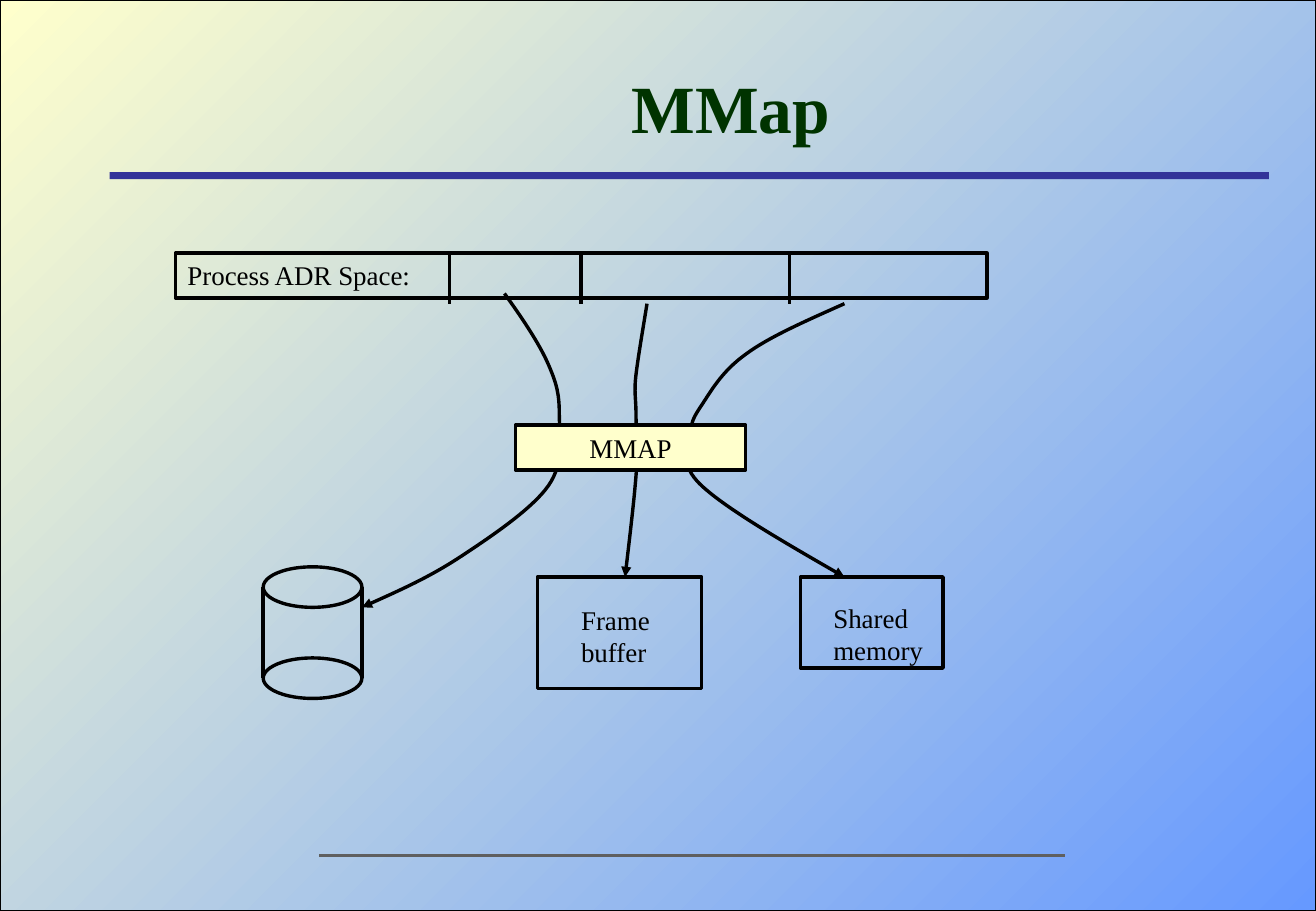
from pptx import Presentation
from pptx import util as u
from pptx.dml.color import RGBColor
from pptx.enum import shapes, text
from pptx.oxml.ns import qn
from lxml import etree

COLORS = {
    "ink": "000000", "title": "003300", "rule": "333399", "footer": "5F5F5F",
    "cream": "FFFFCC", "sky": "6699FF",
}
RECT, OVAL = shapes.MSO_SHAPE.RECTANGLE, shapes.MSO_SHAPE.OVAL
LEFT, CENTER = text.PP_ALIGN.LEFT, text.PP_ALIGN.CENTER


def rgb(name):
    return RGBColor.from_string(COLORS[name])


class Board:
    """Draws in one style on a grid of 120 columns by 90 rows."""
    font, size, stroke = "Times New Roman", 16, 2

    def __init__(self, deck):
        self.col, self.row = deck.slide_width / 120, deck.slide_height / 90
        self.slide = deck.slides.add_slide(deck.slide_layouts[5])

    def point(self, x, y):
        return round(x * self.col), round(y * self.row)

    def outline(self, item, color="ink", width=stroke):
        item.line.color.rgb = rgb(color)
        item.line.width = u.Pt(width)

    def set_text(self, shape, lines, align=LEFT, wrap=True, size=size, color="ink", bold=False,
                 anchor=text.MSO_ANCHOR.TOP):
        frame = shape.text_frame
        frame.text = "\n".join(lines)
        frame.word_wrap = wrap
        frame.auto_size = text.MSO_AUTO_SIZE.NONE
        frame.vertical_anchor = anchor
        for paragraph in frame.paragraphs:
            paragraph.alignment = align
            font = paragraph.font
            font.name, font.size, font.bold = self.font, u.Pt(size), bold
            font.color.rgb = rgb(color)

    def title(self, words, x, y, w, h):
        heading = self.slide.shapes.title
        heading.left, heading.top = self.point(x, y)
        heading.width, heading.height = self.point(w, h)
        self.set_text(heading, [words], CENTER, size=40, color="title", bold=True,
                      anchor=text.MSO_ANCHOR.MIDDLE)
        # Bring the title in front of the backdrop
        heading.element.getparent().append(heading.element)

    def shape(self, x, y, w, h, kind=RECT, fill=None, line="ink", width=stroke):
        item = self.slide.shapes.add_shape(kind, *self.point(x, y), *self.point(w, h))
        item.shadow.inherit = False
        if fill:
            item.fill.solid()
            item.fill.fore_color.rgb = rgb(fill)
        else:
            item.fill.background()
        if line:
            self.outline(item, line, width)
        else:
            item.line.fill.background()
        return item

    def backdrop(self, start, end):
        self.slide.background.fill.solid()
        self.slide.background.fill.fore_color.rgb = rgb(end)
        fill = self.shape(0, 0, 120, 90, width=0.75).fill
        fill.gradient()
        fill.gradient_angle = 135
        for stop, color in zip(fill.gradient_stops, (start, end)):
            stop.color.rgb = rgb(color)

    def label(self, lines, x, y, w, h, wrap=True):
        box = self.slide.shapes.add_textbox(*self.point(x, y), *self.point(w, h))
        self.set_text(box, lines, wrap=wrap)

    def line(self, x1, y1, x2, y2, color="ink", width=stroke):
        item = self.slide.shapes.add_connector(
            shapes.MSO_CONNECTOR.STRAIGHT, *self.point(x1, y1), *self.point(x2, y2))
        self.outline(item, color, width)
        etree.SubElement(item.element.spPr, qn("a:effectLst"))

    def curve_arrow(self, start, *points):
        """Bezier arrow: each three points are two controls and an end."""
        builder = self.slide.shapes.build_freeform(*self.point(*start))
        builder.add_line_segments([self.point(*p) for p in points], close=False)
        arrow = builder.convert_to_shape()
        arrow.shadow.inherit = False
        arrow.fill.background()
        self.outline(arrow)
        # Turn each three straight segments into one cubic curve
        segments = list(arrow.element.iter(qn("a:lnTo")))
        for first in range(0, len(segments), 3):
            trio = segments[first:first + 3]
            curve = etree.Element(qn("a:cubicBezTo"))
            trio[0].addprevious(curve)
            for segment in trio:
                curve.append(segment[0])
                segment.getparent().remove(segment)
        line_xml = arrow.element.spPr.find(qn("a:ln"))
        etree.SubElement(line_xml, qn("a:tailEnd"), type="triangle")


def main():
    deck = Presentation()
    deck.slide_width, deck.slide_height = u.Inches(10.84), u.Inches(7.5)
    board = Board(deck)

    # Backdrop, title and rules
    board.backdrop("sky", "cream")
    board.shape(10, 17, 105.7, 0.7, fill="rule", line=None)
    board.line(29.1, 84.5, 97.1, 84.5, "footer", 1.5)
    board.title("MMap", 17.3, 4, 98.7, 13)

    # Address space, split into segments
    address_space = board.shape(16, 25, 74, 4.45)
    board.set_text(address_space, ["Process ADR Space:"])
    for divider in (41, 53, 72):
        board.line(divider, 25, divider, 30)

    # Disk
    disk_left, disk_width, disk_top, disk_bottom = 24, 9, 56, 65
    board.shape(disk_left, disk_top, disk_width, 4, OVAL)
    for side in (disk_left, disk_left + disk_width):
        board.line(side, disk_top + 2, side, disk_bottom + 2)
    board.shape(disk_left, disk_bottom, disk_width, 4, OVAL)

    # Memory targets
    board.shape(49, 57, 15, 11)
    board.label(["Frame", "buffer"], 51.9, 59, 9.3, 7.7)
    board.shape(73, 57, 13, 9)
    board.label(["Shared", "memory"], 74.9, 58.8, 10.4, 7.7, wrap=False)

    # Mappings from segments to disk, frame buffer and shared memory
    board.curve_arrow(
        (46, 29), (47.6, 31.4), (49.2, 34), (50, 36), (50.8, 38), (51, 39), (51, 41),
        (51, 43), (51.5, 45.7), (50, 48), (48.5, 50.3), (44.8, 53), (42, 55),
        (39.2, 57), (36.1, 58.5), (33, 60))
    board.curve_arrow(
        (59, 30), (58.6, 32.7), (58.2, 35.2), (58, 37), (57.8, 38.8), (58, 39.3), (58, 41),
        (58, 42.7), (58.2, 44.3), (58, 47), (57.8, 49.7), (57.4, 53.3), (57, 57))
    board.curve_arrow(
        (77, 30), (73.5, 31.7), (70.1, 33.3), (68, 35), (65.8, 36.7), (64.8, 38.7), (64, 40),
        (63.2, 41.3), (63, 41.7), (63, 43), (63, 44.3), (61.7, 45.7), (64, 48),
        (66.3, 50.3), (71.7, 53.7), (77, 57))

    # MMAP call in front of the mappings
    mmap_call = board.shape(47, 42, 21, 4.45, fill="cream")
    board.set_text(mmap_call, ["MMAP"], CENTER)

    deck.save("out.pptx")


if __name__ == "__main__":
    main()
